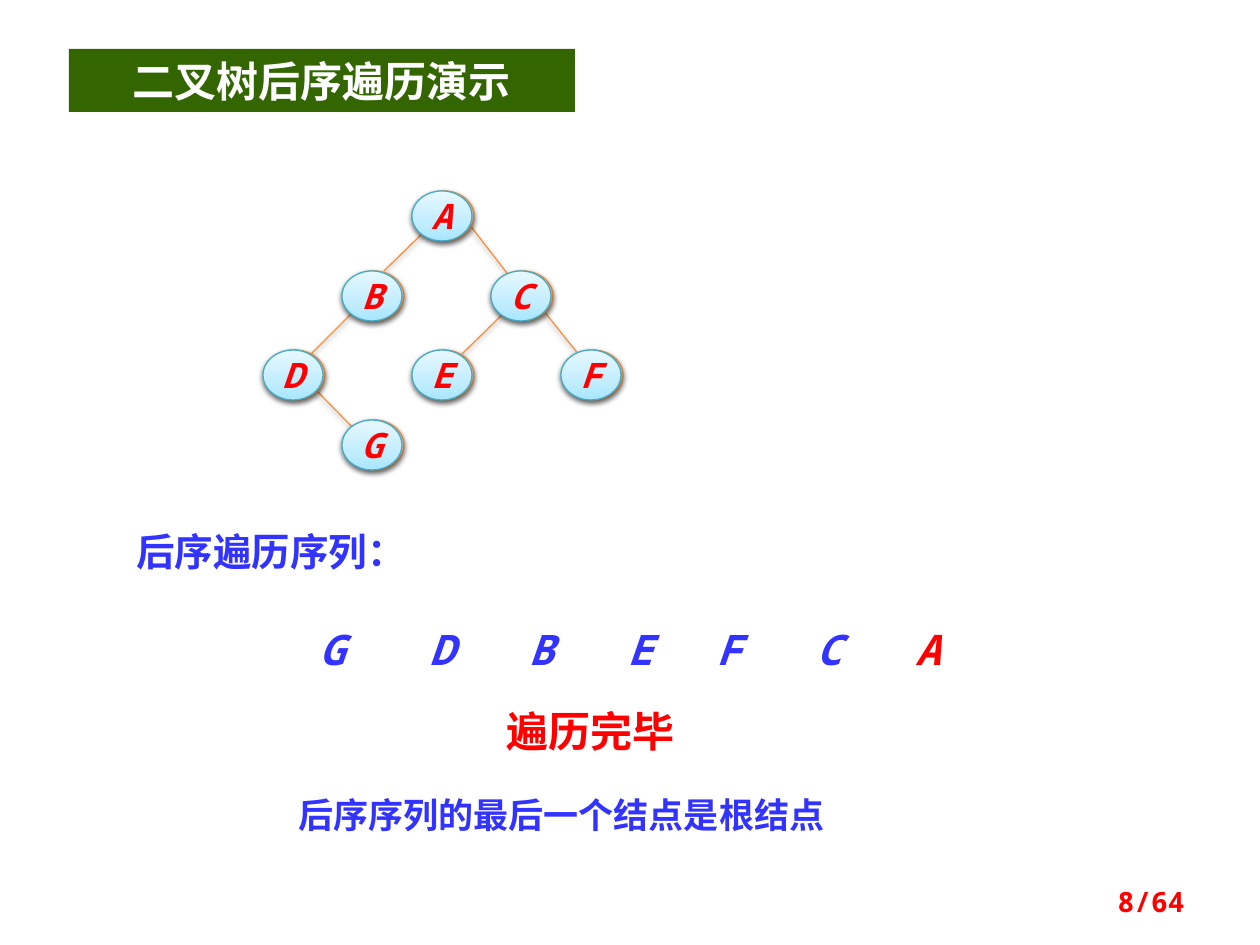
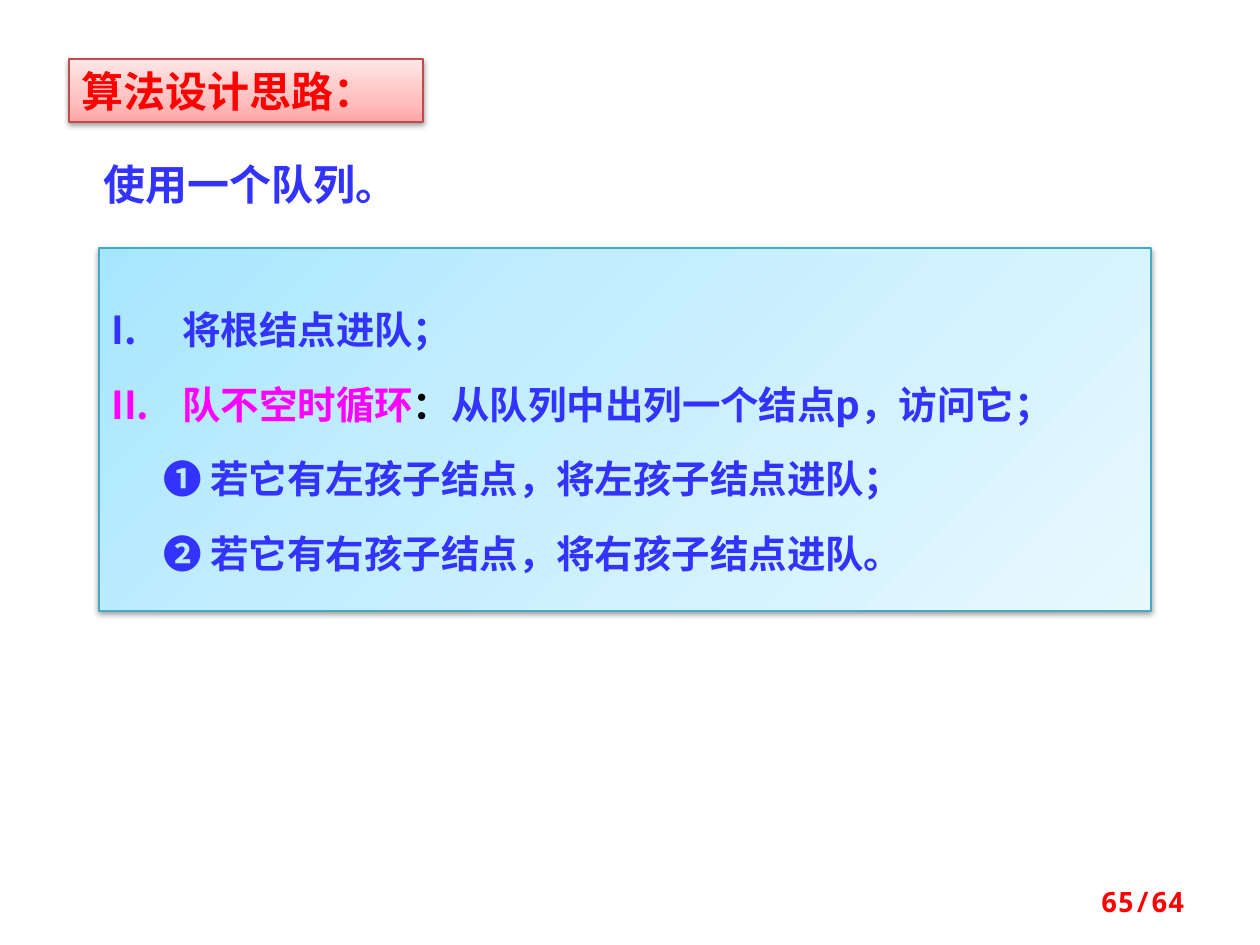
from pptx import Presentation
from pptx.dml.color import RGBColor
from pptx.enum.shapes import MSO_CONNECTOR, MSO_SHAPE
from pptx.enum.text import MSO_ANCHOR, PP_ALIGN
from pptx.oxml.ns import qn
from pptx.util import Emu, Pt
from lxml.etree import SubElement

COLORS = {
    "blue": "3333FF", "red": "FF0000", "magenta": "FF00FF", "black": "000000",
    "white": "FFFFFF", "green": "336600", "orange": "F69240", "teal": "46AAC5",
    "brick": "BF4C48",
}
GRADIENTS = {
    "orange": ("FFD2BD", "FFDED0", "FFF2ED"),
    "teal": ("A7E6FF", "C1EDFF", "E7F8FF"),
    "brick": ("FFA6A5", "FFC0BF", "FFE7E7"),
}
STOPS = (0, 35, 100)
SANS, MONO = "Noto Sans CJK SC", "Noto Sans Mono"
LEFT, CENTER, RIGHT = PP_ALIGN.LEFT, PP_ALIGN.CENTER, PP_ALIGN.RIGHT
NODE_W, NODE_H = 60, 50
NODES = {
    "A": (412, 191), "B": (342, 271), "C": (491, 271), "D": (263, 350),
    "E": (412, 350), "F": (561, 350), "G": (342, 420),
}
EDGES = [
    (315, 389, 355, 430), (425, 231, 384, 271), (469, 224, 510, 277),
    (355, 310, 305, 360), (503, 314, 462, 354), (543, 310, 583, 360),
]
VISITS = {"G": 282, "D": 392, "B": 491, "E": 590, "F": 679, "C": 779, "A": 878}
STEPS = [
    ([("将根结点进队；", "blue")], True),
    ([("队不空时循环", "magenta"), ("：", "black"),
      ("从队列中出列一个结点p，访问它；", "blue")], True),
    ([("❶ 若它有左孩子结点，将左孩子结点进队；", "blue")], False),
    ([("❷ 若它有右孩子结点，将右孩子结点进队。", "blue")], False),
]


def px(n):
    return Emu(round(n * 914400 / 126))


def rgb(name):
    return RGBColor.from_string(COLORS[name])


class Deck:
    """Style of the lecture slides and the slide being filled."""

    def __init__(self):
        self.prs = Presentation()
        self.prs.slide_width, self.prs.slide_height = px(1260), px(945)
        self.s = None

    def slide(self, number):
        self.s = self.prs.slides.add_slide(self.prs.slide_layouts[6])
        self.text(904, 876, 293, 50, number, 16, "red", MONO, RIGHT)

    def style(self, r, size, color, font, italic=False):
        r.font.size, r.font.name = Pt(size), font
        r.font.bold, r.font.italic = True, italic
        r.font.color.rgb = rgb(color)
        SubElement(r.font._element, qn("a:ea")).set("typeface", SANS)

    def label(self, sp, text, size, color, font=SANS, align=CENTER, italic=False, wrap=True):
        tf = sp.text_frame
        tf.word_wrap = wrap
        tf.vertical_anchor = MSO_ANCHOR.MIDDLE
        p = tf.paragraphs[0]
        p.text, p.alignment = text, align
        self.style(p.runs[0], size, color, font, italic)

    def text(self, x, y, w, h, text, size, color, font=SANS, align=CENTER, italic=False):
        sp = self.s.shapes.add_textbox(px(x), px(y), px(w), px(h))
        self.label(sp, text, size, color, font, align, italic)

    def shade(self, effects):
        shadow = SubElement(effects, qn("a:outerShdw"), blurRad="40000", dist="20000",
                            dir="5400000", rotWithShape="0")
        clr = SubElement(shadow, qn("a:srgbClr"), val=COLORS["black"])
        SubElement(clr, qn("a:alpha"), val="38000")

    def band(self, x, y, w, h, color):
        sp = self.s.shapes.add_shape(MSO_SHAPE.RECTANGLE, px(x), px(y), px(w), px(h))
        sp.shadow.inherit = False
        sp.fill.solid()
        sp.fill.fore_color.rgb = rgb(color)
        sp.line.fill.background()
        return sp

    def glossy(self, x, y, w, h, color, kind=MSO_SHAPE.RECTANGLE, angle=90):
        sp = self.s.shapes.add_shape(kind, px(x), px(y), px(w), px(h))
        sp.fill.gradient()
        sp.fill.gradient_angle = angle
        stops = sp._element.spPr.find(".//" + qn("a:gsLst"))
        for stop in list(stops):
            stops.remove(stop)
        for pos, value in zip(STOPS, GRADIENTS[color]):
            gs = SubElement(stops, qn("a:gs"), pos=str(pos * 1000))
            SubElement(gs, qn("a:srgbClr"), val=value)
        sp.line.color.rgb, sp.line.width = rgb(color), Pt(0.75)
        sp.shadow.inherit = False
        self.shade(sp._element.spPr.find(qn("a:effectLst")))
        return sp

    def edge(self, x1, y1, x2, y2):
        c = self.s.shapes.add_connector(MSO_CONNECTOR.STRAIGHT, px(x1), px(y1), px(x2), px(y2))
        c.line.color.rgb, c.line.width = rgb("orange"), Pt(0.75)
        self.shade(SubElement(c._element.spPr, qn("a:effectLst")))

    def node(self, x, y, color):
        return self.glossy(x, y, NODE_W, NODE_H, color, MSO_SHAPE.OVAL)

    def steps(self, sp, items, size):
        tf = sp.text_frame
        tf.word_wrap = True
        tf.vertical_anchor = MSO_ANCHOR.MIDDLE
        for i, (parts, numbered) in enumerate(items):
            p = tf.add_paragraph() if i else tf.paragraphs[0]
            p.alignment, p.line_spacing = LEFT, 1.5
            if i:
                p.space_before = Pt(3)
            pPr = p._p.get_or_add_pPr()
            pPr.set("marL", str(px(71 if numbered else 52)))
            pPr.set("indent", str(-px(71) if numbered else 0))
            if numbered:
                SubElement(pPr, qn("a:buFont"), typeface=SANS)
                SubElement(pPr, qn("a:buAutoNum"), type="romanUcPeriod")
            for text, color in parts:
                r = p.add_run()
                r.text = text
                self.style(r, size, color, SANS)


def postorder_slide(d):
    d.slide("8/64")
    d.label(d.band(69, 49, 506, 63, "green"), "二叉树后序遍历演示", 24, "white")
    for points in EDGES:
        d.edge(*points)
    for x, y in NODES.values():
        d.node(x + 2, y, "orange")
    for name, (x, y) in NODES.items():
        d.label(d.node(x, y, "teal"), name, 20, "red", MONO, italic=True, wrap=False)
    d.text(124, 522, 358, 59, "后序遍历序列：", 22, "blue", MONO, LEFT)
    for name, x in VISITS.items():
        color = "red" if name == "A" else "blue"
        d.text(x, 617, 100, 63, name, 24, color, MONO, italic=True)
    d.text(422, 699, 338, 63, "遍历完毕", 24, "red", MONO)
    d.text(286, 787, 689, 55, "后序序列的最后一个结点是根结点", 20, "blue", align=LEFT)


def queue_slide(d):
    d.slide("65/64")
    d.steps(d.glossy(99, 248, 1052, 363, "teal", angle=315), STEPS, 22)
    d.label(d.glossy(69, 59, 354, 63, "brick"), "算法设计思路：", 24, "red", align=LEFT)
    d.text(69, 152, 364, 63, "使用一个队列。", 24, "blue")


def main():
    d = Deck()
    postorder_slide(d)
    queue_slide(d)
    d.prs.save("out.pptx")


if __name__ == "__main__":
    main()
